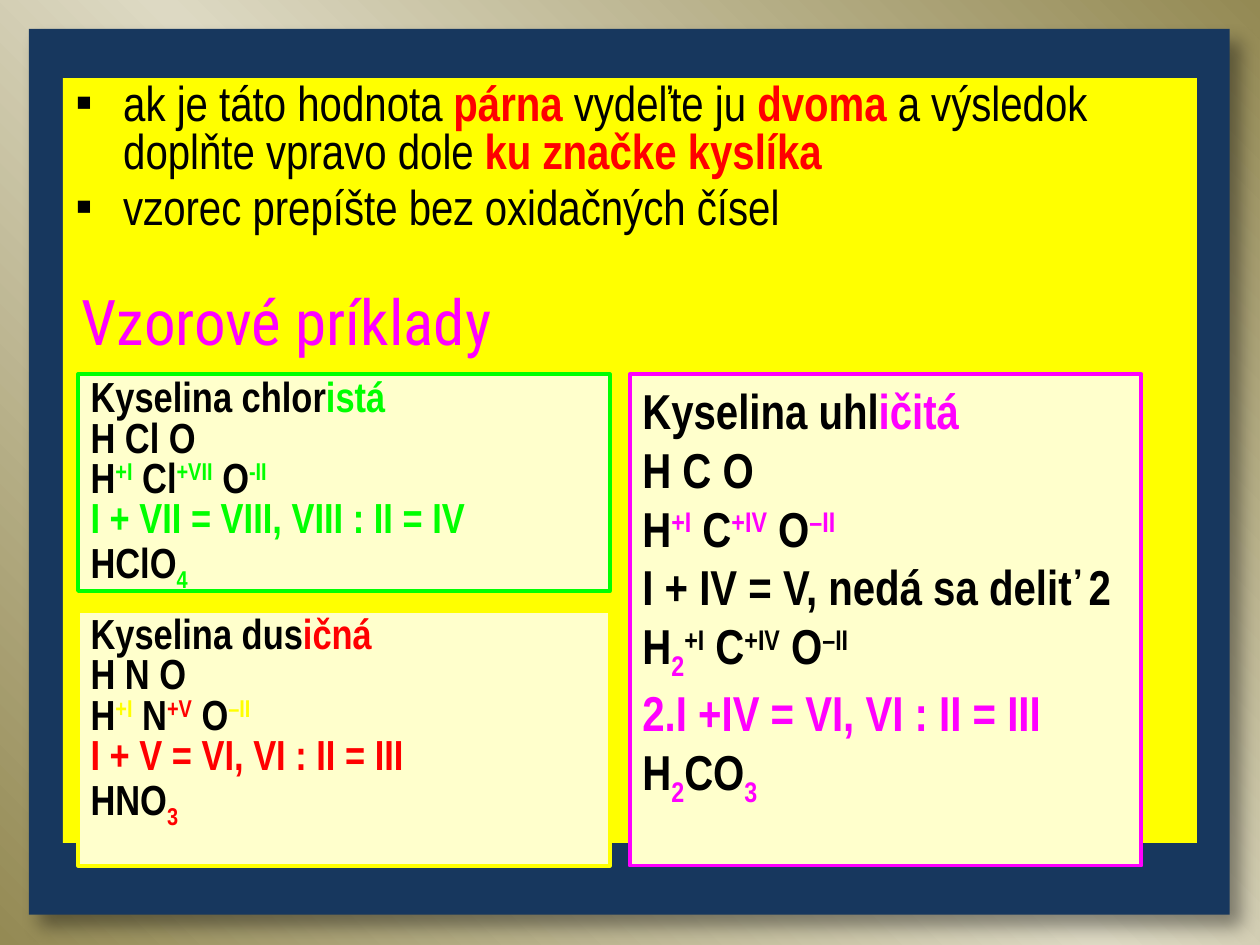
from lxml import etree
from pptx import Presentation
from pptx.dml.color import RGBColor
from pptx.enum.shapes import MSO_SHAPE
from pptx.enum.text import MSO_ANCHOR, PP_ALIGN
from pptx.oxml import parse_xml
from pptx.util import Pt

RECT = MSO_SHAPE.RECTANGLE
TOP = MSO_ANCHOR.TOP
LEFT = PP_ALIGN.LEFT
PX = 9144  # 100 px to the inch
BODY, HEAD = "Arial Narrow", "Roboto Condensed"
A = "http://schemas.openxmlformats.org/drawingml/2006/main"
P = "http://schemas.openxmlformats.org/presentationml/2006/main"
HEX = {
    "navy": "17375E", "yellow": "FFFF00", "cream": "FFFFCC", "black": "000000",
    "red": "FF0000", "green": "00FF00", "pink": "FF00FF",
    "olive": "948A54", "sand": "DDD9C3",
}
SUP, SUB = 30, -25


def color(name):
    return RGBColor.from_string(HEX[name])


def emu(box):
    return [n * PX for n in box]


def backdrop(slide):
    stops = "".join(
        f'<a:gs pos="{pos}000"><a:srgbClr val="{HEX[name]}"/></a:gs>'
        for pos, name in ((0, "olive"), (50, "sand"), (100, "olive")))
    slide.background.fill.solid()
    props = slide.element.find(f".//{{{P}}}bgPr")
    grad = parse_xml(
        f'<a:gradFill xmlns:a="{A}" rotWithShape="1"><a:gsLst>{stops}</a:gsLst>'
        '<a:lin ang="18900000" scaled="0"/></a:gradFill>')
    props.replace(props[0], grad)


def block(slide, box, fill, edge=None):
    shape = slide.shapes.add_shape(RECT, *emu(box))
    shape.shadow.inherit = False
    shape.fill.solid()
    shape.fill.fore_color.rgb = color(fill)
    if edge:
        shape.line.color.rgb = color(edge)
        shape.line.width = Pt(2.25)
    else:
        shape.line.fill.background()
    return shape


def frame(slide, box):
    shape = block(slide, box, "navy")
    effects = shape._element.spPr.find(f"{{{A}}}effectLst")
    effects.append(parse_xml(
        f'<a:outerShdw xmlns:a="{A}" blurRad="127000" dist="127000" '
        'dir="3000000" algn="tl" rotWithShape="0"><a:srgbClr val="000000">'
        '<a:alpha val="40000"/></a:srgbClr></a:outerShdw>'))


def bullet(para):
    props = para._p.get_or_add_pPr()
    props.set("marL", str(38 * PX))
    props.set("indent", str(-38 * PX))
    etree.SubElement(props, f"{{{A}}}buFont", typeface="Arial")
    etree.SubElement(props, f"{{{A}}}buChar", char="▪")


def write(shape, lines, size, font=BODY, space=None, mark=False, gap=0):
    """Each line is a list of (text, colour, bold, baseline) runs."""
    text = shape.text_frame
    text.word_wrap = True
    text.vertical_anchor = TOP
    for i, line in enumerate(lines):
        para = text.add_paragraph() if i else text.paragraphs[0]
        para.alignment = LEFT
        if mark:
            bullet(para)
        if space:
            para.line_spacing = space
        if i and gap:
            para.space_before = Pt(gap)
        for words, hue, heavy, base in line:
            run = para.add_run()
            run.text = words
            run.font.name = font
            run.font.size = Pt(size)
            run.font.bold = heavy
            run.font.color.rgb = color(hue)
            if base:
                run.font._element.set("baseline", str(base * 1000))


def plain(words, hue="black"):
    return words, hue, False, 0


def bold(words, hue="black", base=0):
    return words, hue, True, base


def ions(parts):
    """Element symbols, each followed by its raised oxidation number."""
    return [run for symbol, number, hue in parts
            for run in (bold(symbol), bold(number, hue, SUP))]


def rules(slide, box):
    lines = [
        [plain("ak je táto hodnota "), bold("párna", "red"),
         plain(" vydeľte ju "), bold("dvoma ", "red"),
         plain("a výsledok doplňte vpravo dole "), bold("ku značke kyslíka", "red")],
        [plain("vzorec prepíšte bez oxidačných čísel")],
    ]
    write(block(slide, box, "yellow"), lines, 28, space=0.8, mark=True, gap=5.6)


def title(slide, box):
    shape = slide.shapes.add_textbox(*emu(box))
    write(shape, [[plain("Vzorové príklady", "pink")]], 36, HEAD)


def sample(slide, box, edge, lines, size, space=None):
    write(block(slide, box, "cream", edge), lines, size, space=space)


def samples(slide, box):
    x, y, w, h = box
    left, right, top, low = 422, 406, 172, 202
    chloric = [
        [bold("Kyselina chlor"), bold("istá", "green")],
        [bold("H Cl O")],
        ions([("H", "+I", "green"), (" Cl", "+VII", "green"), (" O", "-II", "green")]),
        [bold("I + VII = VIII, VIII : II = IV", "green")],
        [bold("HClO"), bold("4", "green", SUB)],
    ]
    nitric = [
        [bold("Kyselina dus"), bold("ičná", "red")],
        [bold("H N O")],
        ions([("H", "+I", "yellow"), (" N", "+V", "red"), (" O", "–II", "yellow")]),
        [bold("I + V = VI, VI : II = III", "red")],
        [bold("HNO"), bold("3", "red", SUB)],
    ]
    carbonic = [
        [bold("Kyselina uhl"), bold("ičitá", "pink")],
        [bold("H C O")],
        ions([("H", "+I", "pink"), (" C", "+IV", "pink"), (" O", "–II", "pink")]),
        [bold("I + IV = V, nedá sa deliť 2")],
        [bold("H"), bold("2", "pink", SUB), bold("+I", base=SUP)]
        + ions([(" C", "+IV", "black"), (" O", "–II", "black")]),
        [bold("2.I +IV = VI, VI : II = III", "pink")],
        [bold("H"), bold("2", "pink", SUB), bold("CO"), bold("3", "pink", SUB)],
    ]
    sample(slide, (x, y, left, top), "green", chloric, 24, 0.8)
    sample(slide, (x, y + h - low, left, low), "yellow", nitric, 24, 0.8)
    sample(slide, (x + w - right, y, right, h), "pink", carbonic, 28)


def main():
    deck = Presentation()
    deck.slide_width, deck.slide_height = emu((1000, 750))
    slide = deck.slides.add_slide(deck.slide_layouts[6])
    backdrop(slide)
    frame(slide, (23, 23, 953, 703))
    rules(slide, (50, 62, 900, 607))
    title(slide, (55, 219, 453, 71))
    samples(slide, (62, 297, 844, 390))
    deck.save("out.pptx")


if __name__ == "__main__":
    main()
